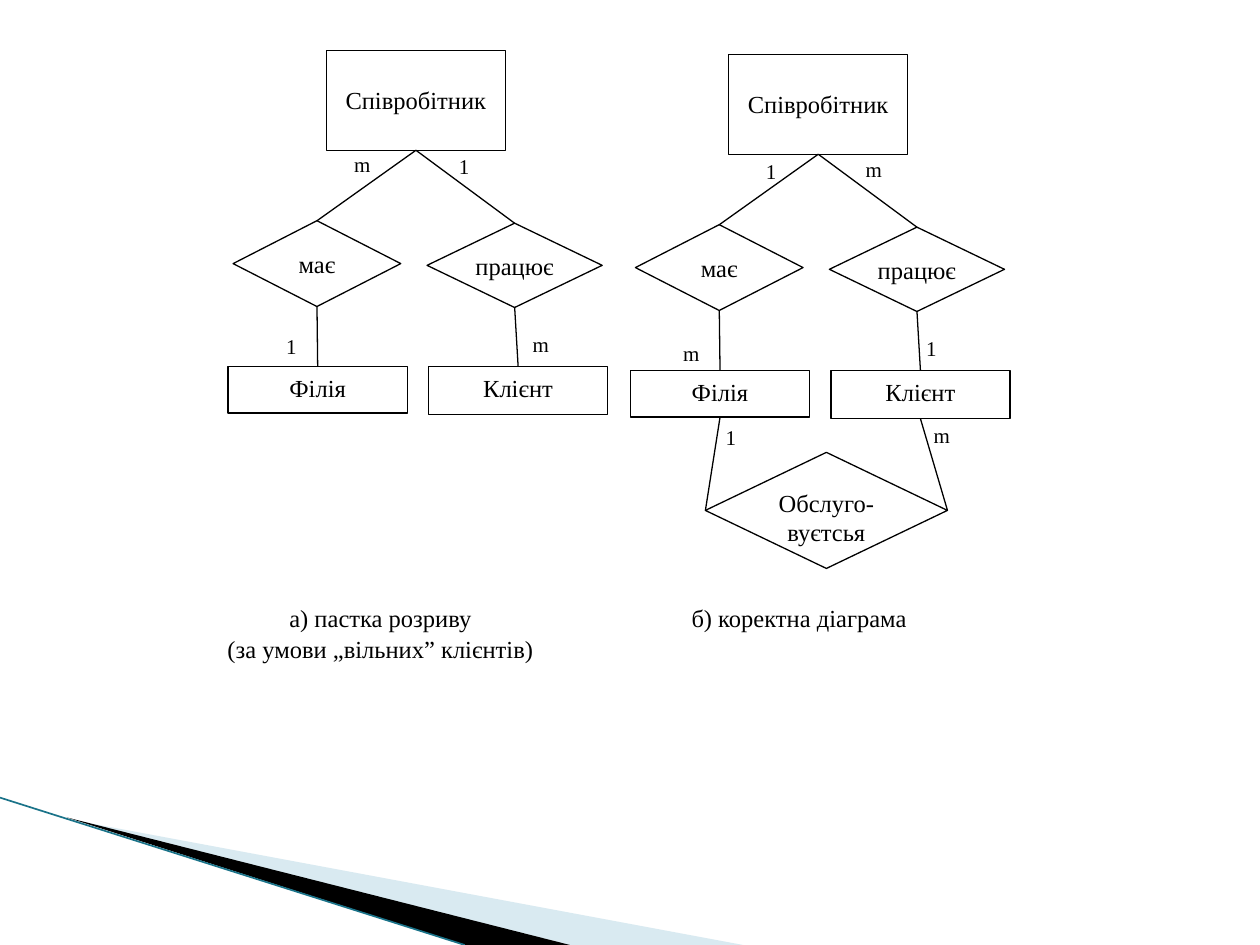
from lxml import etree
from pptx import Presentation
from pptx import util as u
from pptx.dml.color import RGBColor
from pptx.enum import shapes, text
from pptx.oxml.ns import qn

RECT = shapes.MSO_SHAPE.RECTANGLE
DIAMOND = shapes.MSO_SHAPE.DIAMOND
TOP, LEFT, BOTTOM, RIGHT = range(4)


def tint(code):
    return RGBColor.from_string(code)


class Board:
    font = "Times New Roman"
    ink = "000000"
    paper = "FFFFFF"
    thin = 0.75

    def __init__(self, slide):
        self.slide = slide
        self.items = slide.shapes

    def letter(self, frame, lines, size=14, center=True, space=None):
        frame.word_wrap = True
        for i, line in enumerate(lines):
            par = frame.add_paragraph() if i else frame.paragraphs[0]
            par.text = line
            par.font.name = self.font
            par.font.size = u.Pt(size)
            par.font.color.rgb = tint(self.ink)
            par.alignment = text.PP_ALIGN.CENTER if center else text.PP_ALIGN.LEFT
            if space:
                par.line_spacing = space

    def inset(self, frame, side, top):
        frame.margin_left = frame.margin_right = u.Cm(side)
        frame.margin_top = u.Cm(top)
        frame.margin_bottom = u.Cm(min(top, 0.13))

    def node(self, kind, words, x, y, w, h, top=0.13):
        box = self.items.add_shape(kind, u.Cm(x), u.Cm(y), u.Cm(w), u.Cm(h))
        box.shadow.inherit = False
        box.fill.solid()
        box.fill.fore_color.rgb = tint(self.paper)
        box.line.color.rgb = tint(self.ink)
        box.line.width = u.Pt(self.thin)
        frame = box.text_frame
        frame.vertical_anchor = text.MSO_ANCHOR.TOP
        self.inset(frame, 0 if kind == DIAMOND else 0.25, top)
        self.letter(frame, [words])
        return box

    def label(self, words, x, y):
        box = self.items.add_textbox(u.Cm(x), u.Cm(y), u.Cm(0.64), u.Cm(0.61))
        self.inset(box.text_frame, 0, 0)
        self.letter(box.text_frame, [words], 12, False)

    def line(self, x1, y1, x2, y2, color=ink, width=thin):
        ends = [u.Cm(v) for v in (x1, y1, x2, y2)]
        line = self.items.add_connector(shapes.MSO_CONNECTOR.STRAIGHT, *ends)
        line.line.color.rgb = tint(color)
        line.line.width = u.Pt(width)
        etree.SubElement(line._element.spPr, qn("a:effectLst"))
        return line

    def join(self, a, start, b, end):
        line = self.line(0, 0, 1, 1)
        line.begin_connect(a, start)
        line.end_connect(b, end)

    def wedge(self, points, color, alpha=None):
        first, *rest = [(u.Cm(x), u.Cm(y)) for x, y in points]
        edge = self.items.build_freeform(*first)
        edge.add_line_segments(rest)
        area = edge.convert_to_shape()
        area.shadow.inherit = False
        area.fill.solid()
        area.fill.fore_color.rgb = tint(color)
        area.line.fill.background()
        if alpha:
            code = area._element.spPr.find(".//" + qn("a:srgbClr"))
            etree.SubElement(code, qn("a:alpha"), val=str(alpha * 1000))

    def table(self, cells, x, y, w, h):
        frame = self.items.add_table(1, len(cells), u.Cm(x), u.Cm(y), u.Cm(w), u.Cm(h))
        grid = frame.table
        grid.first_row = grid.horz_banding = False
        for cell, lines in zip(grid.rows[0].cells, cells):
            cell.fill.background()
            self.inset(cell, 0.18, 0)
            self.letter(cell.text_frame, lines, space=1.15)

    def scheme(self, dx, dy):
        client = self.node(RECT, "Клієнт", 8.64 + dx, 7.39 + dy, 3.61, 0.97)
        staff = self.node(RECT, "Співробітник", 6.58 + dx, 1.02 + dy, 3.61, 2.01, 0.7)
        works = self.node(DIAMOND, "працює", 8.61 + dx, 4.5 + dy, 3.53, 1.7)
        has = self.node(DIAMOND, "має", 4.7 + dx, 4.45 + dy, 3.38, 1.73)
        branch = self.node(RECT, "Філія", 4.6 + dx, 7.39 + dy, 3.61, 0.94)
        for link, unit in ((works, client), (has, branch)):
            self.join(staff, BOTTOM, link, TOP)
            self.join(link, BOTTOM, unit, TOP)
        return branch, client


def main():
    deck = Presentation()
    deck.slide_width, deck.slide_height = u.Cm(25.4), u.Cm(19.05)
    board = Board(deck.slides.add_slide(deck.slide_layouts[6]))

    board.wedge([(1.4, 16.52), (14.98, 19.05), (11.49, 19.05)], "A0CBDC", 40)
    board.wedge([(1.35, 16.48), (11.49, 19.05), (9.37, 19.05)], "000000")
    board.line(0, 16.08, 9.37, 19.05, "1A7389", 0.95)
    board.table([["а) пастка розриву", "(за умови „вільних” клієнтів)"],
                 ["б) коректна діаграма"]], 3.45, 12.12, 16.88, 1.37)

    board.scheme(0, 0)
    branch, client = board.scheme(8.11, 0.08)
    serves = board.node(DIAMOND, "Обслуго-вуєтсья", 14.22, 9.12, 4.88, 2.34)
    board.join(branch, BOTTOM, serves, LEFT)
    board.join(client, BOTTOM, serves, RIGHT)

    for words, spots in {
        "1": [(9.25, 3.1), (5.77, 6.73), (18.67, 6.76), (15.44, 3.2), (14.63, 8.56)],
        "m": [(7.14, 3.05), (10.74, 6.68), (13.77, 6.86), (17.45, 3.15), (18.82, 8.51)],
    }.items():
        for x, y in spots:
            board.label(words, x, y)

    deck.save("out.pptx")


if __name__ == "__main__":
    main()
